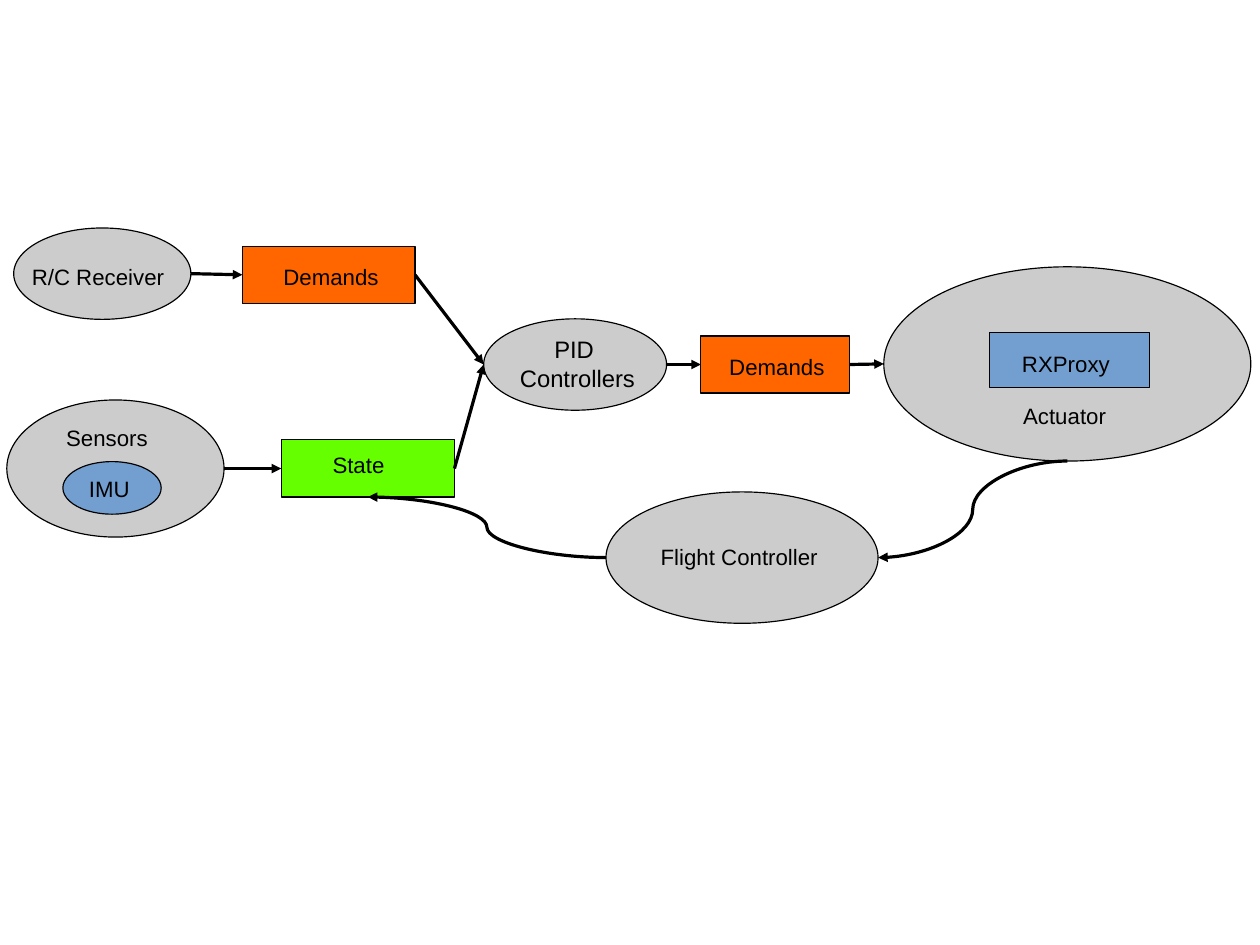
import pptx
import pptx.util
import pptx.dml.color
import pptx.enum.shapes
import pptx.enum.text
import pptx.oxml
import pptx.oxml.ns
from pptx.dml.color import RGBColor

GREY = RGBColor(0xCC, 0xCC, 0xCC)
ORANGE = RGBColor(0xFF, 0x66, 0x00)
GREEN = RGBColor(0x66, 0xFF, 0x00)
BLUE = RGBColor(0x72, 0x9F, 0xCF)
BLACK = RGBColor(0, 0, 0)

SHAPE = pptx.enum.shapes.MSO_SHAPE
LINK = pptx.enum.shapes.MSO_CONNECTOR
ALIGN = pptx.enum.text.PP_ALIGN

prs = pptx.Presentation()
prs.slide_width = pptx.util.Cm(28)
prs.slide_height = pptx.util.Cm(21)
COL = prs.slide_width / 110.2   # the slide is a grid of 110.2 columns
ROW = prs.slide_height / 82.7   # by 82.7 rows


def place(box, col, row, cols, rows):
    """Turn grid cells counted from the corner of box into slide lengths."""
    return (round((box[0] + col) * COL), round((box[1] + row) * ROW),
            round(cols * COL), round(rows * ROW))


def outline(line):
    """Give a shape or connector a black hairline."""
    line.color.rgb = BLACK
    line.width = pptx.util.Pt(0)


def node(s, box, cells, fill, kind=SHAPE.OVAL):
    """Draw one filled oval or rectangle in box."""
    sp = s.shapes.add_shape(kind, *place(box, *cells))
    sp.shadow.inherit = False
    sp.fill.solid()
    sp.fill.fore_color.rgb = fill
    outline(sp.line)
    return sp


def label(s, box, cells, text, size=14, align=ALIGN.LEFT, color=BLACK):
    """Write text in box, one paragraph to a line."""
    tf = s.shapes.add_textbox(*place(box, *cells)).text_frame
    tf.word_wrap = True
    for i, words in enumerate(text.split("\n")):
        p = tf.add_paragraph() if i else tf.paragraphs[0]
        p.alignment = align
        r = p.add_run()
        r.text = words
        r.font.name = "Arial"
        r.font.size = pptx.util.Pt(size)
        r.font.color.rgb = color


def edge(sp, side):
    """Return the middle of the left, right or bottom side of a shape."""
    x, y = {"left": (0, 0.5), "right": (1, 0.5), "bottom": (0.5, 1)}[side]
    return round(sp.left + x * sp.width), round(sp.top + y * sp.height)


def arrow(s, start, end, kind=LINK.STRAIGHT):
    """Draw an arrow between two points."""
    cxn = s.shapes.add_connector(kind, *start, *end)
    outline(cxn.line)
    tail = pptx.oxml.parse_xml(
        '<a:tailEnd %s type="triangle"/>' % pptx.oxml.ns.nsdecls("a"))
    cxn.line._get_or_add_ln().append(tail)
    cxn._element.spPr.append(pptx.oxml.parse_xml(
        "<a:effectLst %s/>" % pptx.oxml.ns.nsdecls("a")))


def flow(s, source, target):
    """Draw a straight arrow from the right of source to the left of target."""
    arrow(s, edge(source, "right"), edge(target, "left"))


def receiver_region(s, box):
    """Draw the receiver and the demands it gives; return the demands."""
    receiver = node(s, box, (0, 0, 15.5, 8), GREY)
    label(s, box, (0.6, 2.6, 15.2, 3.4), "R/C Receiver")
    demands = node(s, box, (20, 1.6, 15.1, 5), ORANGE, SHAPE.RECTANGLE)
    label(s, box, (22.6, 2.6, 11.5, 3.4), "Demands")
    flow(s, receiver, demands)
    return demands


def sensor_region(s, box):
    """Draw the sensors and the state they give; return the state."""
    sensors = node(s, box, (0, 0, 19, 12), GREY)
    label(s, box, (4.2, 1.6, 10.1, 3.4), "Sensors")
    node(s, box, (4.9, 5.4, 8.6, 4.6), BLUE)
    label(s, box, (6.2, 6.1, 5.8, 3.2), "IMU")
    state = node(s, box, (24, 3.5, 15.15, 5), GREEN, SHAPE.RECTANGLE)
    label(s, box, (27.5, 4, 7.1, 3.4), "State")
    flow(s, sensors, state)
    return state


def pid_region(s, box):
    """Draw the PID controllers and their demands; return both."""
    pid = node(s, box, (0, 0, 16, 8), GREY)
    label(s, box, (0.2, 0.9, 16, 3.4), "PID \nControllers", size=15,
          align=ALIGN.CENTER)
    demands = node(s, box, (19, 1.5, 13, 5), ORANGE, SHAPE.RECTANGLE)
    label(s, box, (20.5, 2.5, 11.5, 3.4), "Demands")
    flow(s, pid, demands)
    return pid, demands


def actuator_region(s, box):
    """Draw the actuator around its proxy; return the actuator."""
    actuator = node(s, box, (0, 0, 32.1, 17), GREY)
    node(s, box, (9.25, 5.75, 14, 4.8), BLUE, SHAPE.RECTANGLE)
    label(s, box, (11.1, 6.8, 10, 3.4), "RXProxy")
    label(s, box, (11.2, 11.4, 10.3, 3.5), "Actuator")
    return actuator


def flight_region(s, box):
    """Draw the flight controller and return it."""
    flight = node(s, box, (0, 0, 23.8, 11.5), GREY)
    label(s, box, (3.8, 4, 17.3, 3.9), "Flight Controller")
    return flight


s = prs.slides.add_slide(prs.slide_layouts[6])
actuator = actuator_region(s, (77.3, 23.35))
rc_demands = receiver_region(s, (1.2, 19.95))
state = sensor_region(s, (0.6, 35))
pid, pid_demands = pid_region(s, (42.3, 27.9))
flight = flight_region(s, (53, 43.05))

for source, target in [(rc_demands, pid), (state, pid), (pid_demands, actuator)]:
    flow(s, source, target)
arrow(s, edge(actuator, "bottom"), edge(flight, "right"), LINK.CURVE)
arrow(s, edge(flight, "left"), edge(state, "bottom"), LINK.CURVE)

prs.save("out.pptx")
